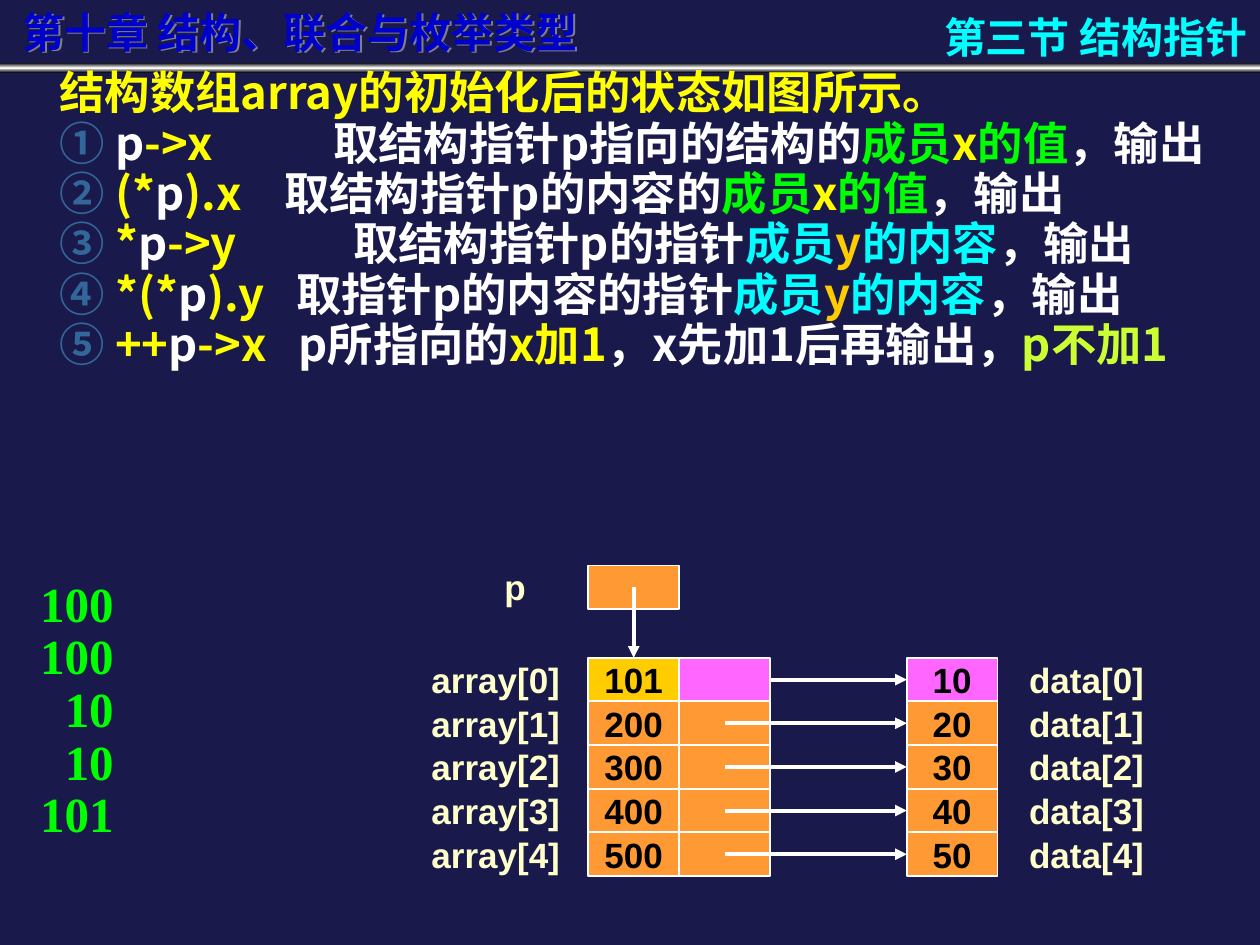
"""Builds the lecture slide on structure pointers."""
from copy import deepcopy
from dataclasses import dataclass

from lxml.etree import SubElement
from pptx import Presentation
from pptx.dml.color import RGBColor
from pptx.enum.shapes import MSO_CONNECTOR, MSO_SHAPE
from pptx.enum.text import MSO_ANCHOR, PP_ALIGN
from pptx.oxml import parse_xml
from pptx.oxml.ns import nsdecls, qn
from pptx.util import Cm, Pt

WHITE, BLACK, CREAM = "FFFFFF", "000000", "FFFFCC"
YELLOW, GOLD, LIME, GREEN, CYAN = "FFFF00", "FFCC00", "CCFF33", "00FF00", "00FFFF"
BLUE, STEEL, NAVY = "0000CC", "336699", "19194B"
ORANGE, PINK = "FF9933", "FF66FF"
HAN, SANS, SERIF = "Noto Sans CJK SC", "Arial", "Times New Roman"
CELL_WIDTH, ROW_HEIGHT, LABEL_HEIGHT = 1.83, 0.88, 1.12
VALUE_LEFT, DATA_LEFT, GRID_TOP = 11.86, 18.28, 13.26
RESULT_RIGHT, RESULT_TOP, RESULT_STEP = 2.6, 11.43, 1.06


@dataclass
class Area:
    left: float
    top: float
    width: float
    height: float

    def lengths(self):
        return [Cm(v) for v in (self.left, self.top, self.width, self.height)]


@dataclass
class Style:
    size: float
    font: str
    align: PP_ALIGN = PP_ALIGN.CENTER
    anchor: MSO_ANCHOR = MSO_ANCHOR.MIDDLE
    wrap: bool = True
    inset: float = 0.25


@dataclass
class Entry:
    spans: list
    stop: float = 0


@dataclass
class Row:
    value: str
    target: str
    value_fill: str = ORANGE
    pair_fill: str = ORANGE


LABEL = Style(20, SANS)
RESULT = Style(28, SERIF, anchor=MSO_ANCHOR.TOP, wrap=False)
TITLE = Style(24, HAN, PP_ALIGN.LEFT, MSO_ANCHOR.BOTTOM)
SECTION = Style(24, HAN, PP_ALIGN.RIGHT, wrap=False)
BODY = Style(25.9, HAN, PP_ALIGN.LEFT, MSO_ANCHOR.TOP, inset=1.2)

ENTRIES = [
    Entry([("结构数组array的初始化后的状态如图所示。", YELLOW)]),
    Entry([("① ", STEEL), ("p", WHITE), ("->x\t", YELLOW),
           ("取结构指针p指向的结构的", WHITE), ("成员", GREEN), ("x", YELLOW),
           ("的值", GREEN), ("，输出", WHITE)], 5.52),
    Entry([("② ", STEEL), ("(*", YELLOW), ("p", WHITE), (").x\t", YELLOW),
           ("取结构指针p的内容的", WHITE), ("成员", GREEN), ("x", YELLOW),
           ("的值", GREEN), ("，输出", WHITE)], 4.53),
    Entry([("③ ", STEEL), ("*", YELLOW), ("p", WHITE), ("->y\t", YELLOW),
           ("取结构指针p的指针", WHITE), ("成员", CYAN), ("y", GOLD),
           ("的内容", CYAN), ("，输出", WHITE)], 5.92),
    Entry([("④ ", STEEL), ("*(*", YELLOW), ("p", WHITE), (").y\t", YELLOW),
           ("取指针p的内容的指针", WHITE), ("成员", CYAN), ("y", GOLD),
           ("的内容", CYAN), ("，输出", WHITE)], 4.77),
    Entry([("⑤ ", STEEL), ("++", YELLOW), ("p", WHITE), ("->x\t", YELLOW),
           ("p所指向的", WHITE), ("x加1", YELLOW), ("，x先加1后再输出，", WHITE),
           ("p不加1", LIME)], 4.82),
]
ROWS = [Row("101", "10", GOLD, PINK), Row("200", "20"), Row("300", "30"),
        Row("400", "40"), Row("500", "50")]
RESULTS = ["100", "100", "10", "10", "101"]


def set_all(target, values: dict):
    for name, value in values.items():
        setattr(target, name, value)


def paint(fill, color: str):
    fill.solid()
    fill.fore_color.rgb = RGBColor.from_string(color)


def write(shape, entries: list, style: Style):
    frame = shape.text_frame
    set_all(frame, {"word_wrap": style.wrap, "vertical_anchor": style.anchor,
                    "margin_left": Cm(style.inset), "margin_right": Cm(0.25),
                    "margin_top": Cm(0.13), "margin_bottom": Cm(0.13)})
    for index, entry in enumerate(entries):
        para = frame.add_paragraph() if index else frame.paragraphs[0]
        if entry.stop:
            tabs = SubElement(para._p.get_or_add_pPr(), qn("a:tabLst"))
            SubElement(tabs, qn("a:tab"), pos=str(Cm(entry.stop)), algn="l")
        para.alignment = style.align
        if len(entries) > 1:
            set_all(para, {"line_spacing": 0.7, "space_before": Pt(7 if index else 0)})
        for text, color in entry.spans:
            span = para.add_run()
            span.text = text
            set_all(span.font, {"size": Pt(style.size), "bold": True, "name": style.font})
            paint(span.font.fill, color)
            SubElement(span._r.get_or_add_rPr(), qn("a:ea"), typeface=style.font)


def add_text(page, area: Area, text: str, color: str, style: Style):
    box = page.shapes.add_textbox(*area.lengths())
    write(box, [Entry([(text, color)])], style)
    return box


def add_cell(page, area: Area, fill: str, text: str = ""):
    cell = page.shapes.add_shape(MSO_SHAPE.RECTANGLE, *area.lengths())
    cell.shadow.inherit = False
    paint(cell.fill, fill)
    paint(cell.line.fill, WHITE)
    cell.line.width = Pt(1)
    if text:
        write(cell, [Entry([(text, BLACK)])], LABEL)
    return cell


def add_arrow(page, source, target, side: int, start_side=None):
    x, y = source.left + source.width // 2, source.top + source.height // 2
    arrow = page.shapes.add_connector(MSO_CONNECTOR.STRAIGHT, x, y, x, y)
    if start_side is not None:
        arrow.begin_connect(source, start_side)
    arrow.end_connect(target, side)
    paint(arrow.line.fill, WHITE)
    arrow.line.width = Pt(2.25)
    SubElement(arrow.line._get_or_add_ln(), qn("a:tailEnd"), type="triangle")
    SubElement(arrow._element.spPr, qn("a:effectLst"))


def add_header(page):
    bar = page.shapes.add_shape(MSO_SHAPE.RECTANGLE, *Area(0, 1.27, 25.4, 0.2).lengths())
    bar.shadow.inherit = False
    bar.line.fill.background()
    bar.fill.gradient()
    bar.fill.gradient_angle = 90
    stop_list = next(bar._element.spPr.iter(qn("a:gsLst")))
    stop_list.insert(1, deepcopy(stop_list[0]))
    for stop, position, color in zip(bar.fill.gradient_stops, (0, 0.5, 1), (BLACK, "FEFEFE", BLACK)):
        stop.position = position
        stop.color.rgb = RGBColor.from_string(color)
    title = add_text(page, Area(0.2, 0.2, 12.7, 1.07), "第十章 结构、联合与枚举类型", BLUE, TITLE)
    title._element.spPr.append(parse_xml(
        f'<a:effectLst {nsdecls("a")}><a:outerShdw dist="17961" dir="2700000">'
        '<a:srgbClr val="808080"/></a:outerShdw></a:effectLst>'))
    add_text(page, Area(15.44, 0, 9.96, 1.47), "第三节 结构指针", CYAN, SECTION)


def add_diagram(page):
    add_text(page, Area(9.47, 11.38, CELL_WIDTH, ROW_HEIGHT), "p", CREAM, LABEL)
    pointer = add_cell(page, Area(VALUE_LEFT, 11.4, CELL_WIDTH, ROW_HEIGHT), ORANGE)
    for index, row in enumerate(ROWS):
        top = GRID_TOP + index * ROW_HEIGHT
        value, link, target = [
            add_cell(page, Area(left, top, CELL_WIDTH, ROW_HEIGHT), fill, text)
            for left, fill, text in ((VALUE_LEFT, row.value_fill, row.value),
                                     (VALUE_LEFT + CELL_WIDTH, row.pair_fill, ""),
                                     (DATA_LEFT, row.pair_fill, row.target))]
        for name, left, width in (("array", 8.13, 3.73), ("data", 20.09, 3.63)):
            label_top = top - (LABEL_HEIGHT - ROW_HEIGHT) / 2
            add_text(page, Area(left, label_top, width, LABEL_HEIGHT), f"{name}[{index}]", CREAM, LABEL)
        add_arrow(page, link, target, 1, None if index else 3)
        if index == 0:
            add_arrow(page, pointer, value, 0)


def add_results(page):
    for index, result in enumerate(RESULTS):
        width = 0.6 + 0.5 * len(result)
        area = Area(RESULT_RIGHT - width, RESULT_TOP + index * RESULT_STEP, width, 1.45)
        add_text(page, area, result, GREEN, RESULT)


def main():
    deck = Presentation()
    set_all(deck, {"slide_width": Cm(25.4), "slide_height": Cm(19.05)})
    page = deck.slides.add_slide(deck.slide_layouts[6])
    paint(page.background.fill, NAVY)
    add_header(page)
    write(page.shapes.add_textbox(*Area(0, 1.47, 25.4, 8.46).lengths()), ENTRIES, BODY)
    add_diagram(page)
    add_results(page)
    deck.save("out.pptx")


if __name__ == "__main__":
    main()
